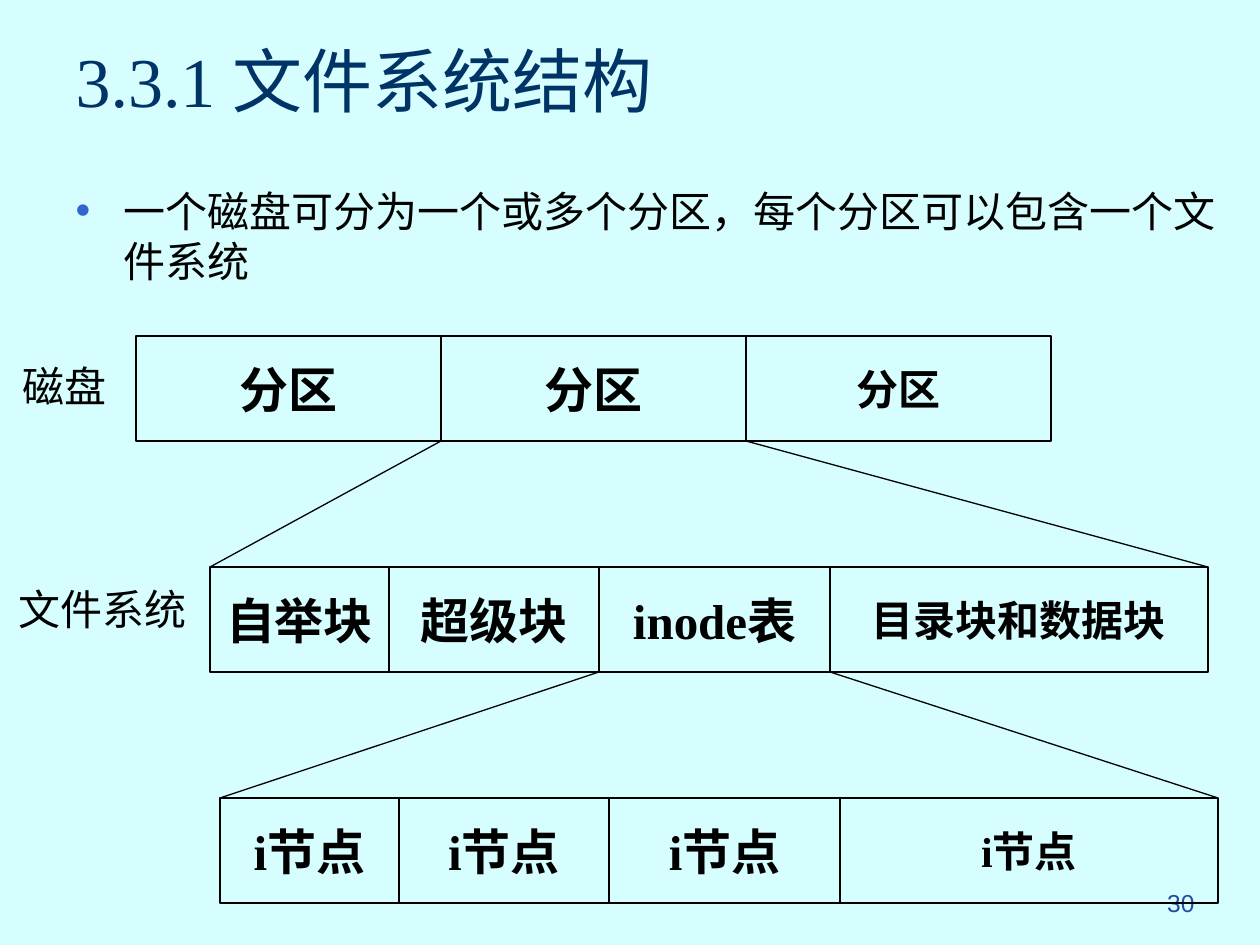
from itertools import accumulate

from lxml.etree import SubElement
from pptx import Presentation
from pptx.dml.color import RGBColor
from pptx.enum.shapes import MSO_CONNECTOR as Connector, MSO_SHAPE as Shape
from pptx.enum.text import MSO_ANCHOR as Anchor, MSO_AUTO_SIZE as AutoSize, PP_ALIGN as Align
from pptx.oxml.ns import qn
from pptx.util import Pt

EMU_PER_PX = 914400 / 126
BACKGROUND = RGBColor(0xD6, 0xFE, 0xFE)
TITLE_BLUE = RGBColor(0x00, 0x33, 0x66)
BULLET_BLUE = RGBColor(0x33, 0x66, 0xCC)
NUMBER_BLUE = RGBColor(0x25, 0x4C, 0x9C)
BLACK = RGBColor(0, 0, 0)
SERIF = "Times New Roman"
SANS = "Arial"
ROW_HEIGHT = 105
DISK_TOP, FILE_SYSTEM_TOP, INODE_TOP = 336, 567, 798
BLOCK_WIDTHS = [179, 210, 231, 378]


def px(*lengths):
    return [round(length * EMU_PER_PX) for length in lengths]


def place(shape, *box):
    shape.left, shape.top, shape.width, shape.height = px(*box)


def write(shape, text, size, color, font=SERIF, bold=False, align=Align.CENTER,
          anchor=Anchor.MIDDLE, wrap=False):
    """Fill the shape with one paragraph of one run and return the paragraph."""
    frame = shape.text_frame
    frame.word_wrap = wrap
    frame.auto_size = AutoSize.NONE
    frame.vertical_anchor = anchor
    paragraph = frame.paragraphs[0]
    paragraph.alignment = align
    run = paragraph.add_run()
    run.text = text
    run.font.size = Pt(size)
    run.font.name = font
    run.font.bold = bold
    run.font.color.rgb = color
    return paragraph


def add_bullet(paragraph):
    properties = paragraph._p.get_or_add_pPr()
    indent, = px(48)
    properties.set("marL", str(indent))
    properties.set("indent", str(-indent))
    color = SubElement(properties, qn("a:buClr"))
    SubElement(color, qn("a:srgbClr"), val=str(BULLET_BLUE))
    SubElement(properties, qn("a:buFont"), typeface=SANS)
    SubElement(properties, qn("a:buChar"), char="•")


def add_label(slide, text, *box):
    write(slide.shapes.add_textbox(*px(*box)), text, 24, BLACK)


def add_row(slide, left, top, widths, texts):
    """Add a group of adjoining cells and return the x of every cell edge."""
    edges = list(accumulate(widths, initial=left))
    group = slide.shapes.add_group_shape()
    for index, text in enumerate(texts):
        cell = group.shapes.add_shape(
            Shape.RECTANGLE, *px(edges[index], top, widths[index], ROW_HEIGHT))
        cell.shadow.inherit = False
        cell.fill.background()
        cell.line.color.rgb = BLACK
        cell.line.width = Pt(0.75)
        is_last = index == len(texts) - 1
        write(cell, text, 24 if is_last else 28, BLACK, bold=True)
    return edges


def add_line(slide, *ends):
    line = slide.shapes.add_connector(Connector.STRAIGHT, *px(*ends))
    line.line.color.rgb = BLACK
    line.line.width = Pt(0.75)
    SubElement(line._element.spPr, qn("a:effectLst"))


def add_expansion(slide, cell_edges, cell_top, row_edges, row_top):
    """Link the bottom corners of a cell to the top corners of the row it holds."""
    for start, end in zip(cell_edges, (row_edges[0], row_edges[-1])):
        add_line(slide, start, cell_top + ROW_HEIGHT, end, row_top)


def main():
    presentation = Presentation()
    presentation.slide_width, presentation.slide_height = px(1260, 945)
    slide = presentation.slides.add_slide(presentation.slide_layouts[1])
    slide.background.fill.solid()
    slide.background.fill.fore_color.rgb = BACKGROUND

    number = slide.shapes.add_textbox(*px(945, 882, 262, 63))
    write(number, "30", 14, NUMBER_BLUE, SANS, align=Align.RIGHT,
          anchor=Anchor.TOP, wrap=True)

    title = slide.shapes.title
    place(title, 63, 0, 1134, 158)
    write(title, "3.3.1 文件系统结构", 40, TITLE_BLUE, align=Align.LEFT, wrap=True)

    body = slide.placeholders[1]
    place(body, 63, 179, 1187, 232)
    paragraph = write(body, "一个磁盘可分为一个或多个分区，每个分区可以包含一个文件系统",
                      24, BLACK, SANS, align=Align.LEFT, anchor=Anchor.TOP, wrap=True)
    paragraph.space_before = Pt(4.8)
    add_bullet(paragraph)

    disk = add_row(slide, 136, DISK_TOP, [305] * 3, ["分区"] * 3)
    file_system = add_row(slide, 210, FILE_SYSTEM_TOP, BLOCK_WIDTHS,
                          ["自举块", "超级块", "inode表", "目录块和数据块"])
    inodes = add_row(slide, 220, INODE_TOP, BLOCK_WIDTHS, ["i节点"] * 4)

    add_label(slide, "磁盘", 10, 354, 109, 63)
    add_label(slide, "文件系统", 6, 577, 193, 63)

    add_expansion(slide, disk[1:3], DISK_TOP, file_system, FILE_SYSTEM_TOP)
    add_expansion(slide, file_system[2:4], FILE_SYSTEM_TOP, inodes, INODE_TOP)

    presentation.save("out.pptx")


if __name__ == "__main__":
    main()
